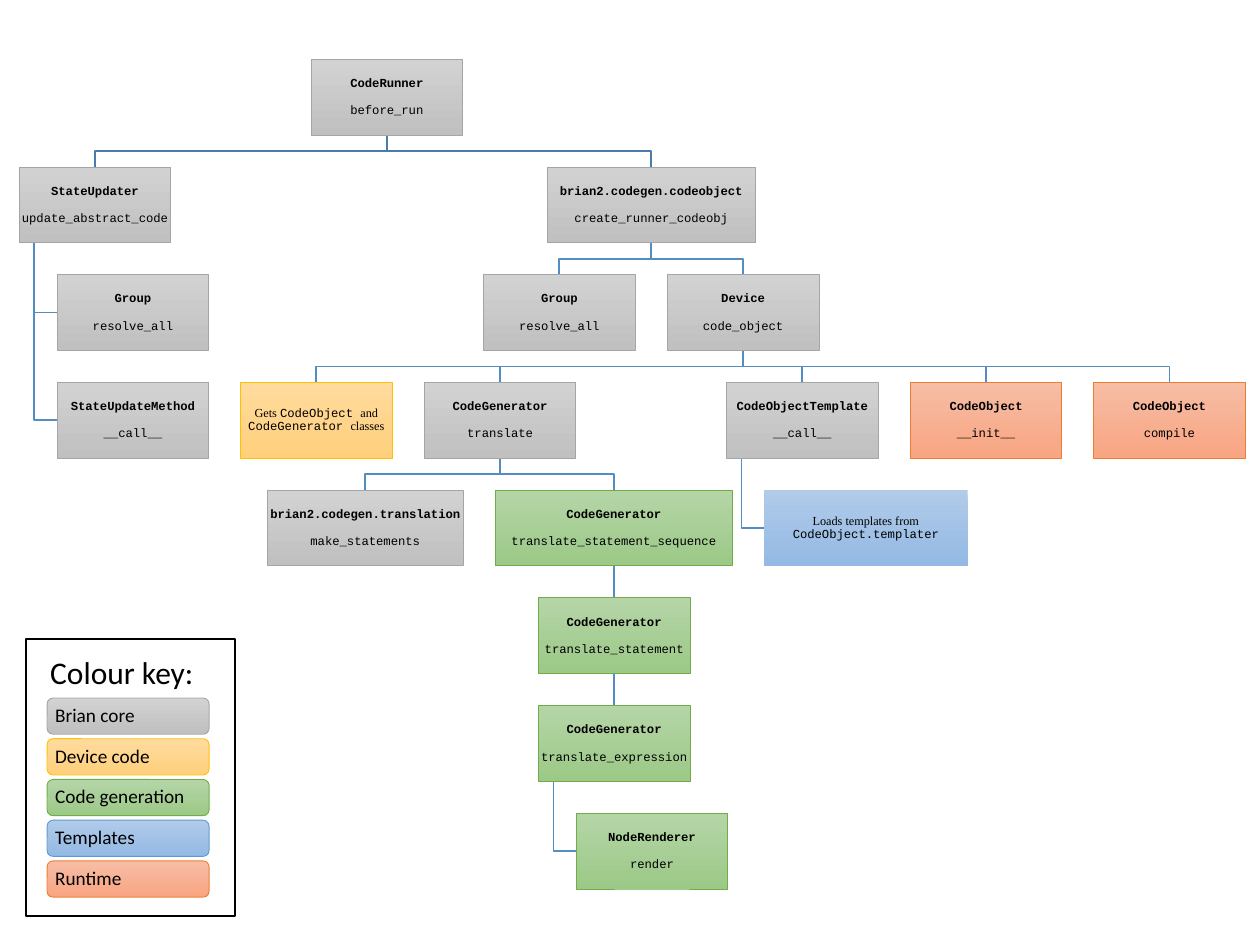
"""Draw the code generation call tree with its colour key."""
from dataclasses import dataclass

from pptx import Presentation
from pptx.dml.color import RGBColor
from pptx.enum.shapes import MSO_CONNECTOR, MSO_SHAPE
from pptx.enum.text import MSO_ANCHOR, PP_ALIGN
from pptx.oxml.ns import qn
from pptx.util import Pt

RECTANGLE = MSO_SHAPE.RECTANGLE
ROUNDED = MSO_SHAPE.ROUNDED_RECTANGLE
STRAIGHT = MSO_CONNECTOR.STRAIGHT
MIDDLE = MSO_ANCHOR.MIDDLE
CENTER, LEFT = PP_ALIGN.CENTER, PP_ALIGN.LEFT


@dataclass(frozen=True)
class Palette:
    """Gradient ends and outline of one category."""
    top: str
    bottom: str
    outline: str


@dataclass(frozen=True)
class Theme:
    """Colours, fonts and type sizes of the slide."""
    core: Palette = Palette("D2D2D2", "C0C0C0", "A5A5A5")
    device: Palette = Palette("FFDB9E", "FFD07C", "FFC000")
    generation: Palette = Palette("B5D5A7", "9CC987", "70AD47")
    templates: Palette = Palette("B1CBE9", "93B9E4", "5B9BD5")
    runtime: Palette = Palette("F7BDA5", "F8A582", "ED7D31")
    ink: str = "000000"
    root_link: str = "497CAB"
    link: str = "538DC1"
    code_font: str = "Courier New"
    prose_font: str = "Times New Roman"
    key_font: str = "Calibri"
    node_size: float = 7
    key_size: float = 11
    heading_size: float = 18


THEME = Theme()
CODE, PROSE = THEME.code_font, THEME.prose_font
FIRST_TOP, LEVEL_PITCH = 33.9, 61.55
NODE_WIDTH, NODE_HEIGHT = 86.7, 43.3
HANG_SHARE = 0.1
KEY_LEFT, KEY_TOP, KEY_PITCH = 26.9, 398.9, 23.27
KEY_WIDTH, KEY_HEIGHT = 92.6, 20.7


@dataclass(frozen=True)
class Node:
    """One box of the tree, with the boxes below it."""
    level: int
    left: float
    name: str = ""
    method: str = ""
    palette: Palette = THEME.core
    width: float = NODE_WIDTH
    spans: tuple = ()
    outlined: bool = True
    hanging: bool = False
    children: tuple = ()

    @property
    def top(self) -> float:
        """Top edge, set by the level."""
        return FIRST_TOP + self.level * LEVEL_PITCH

    @property
    def bottom(self) -> float:
        """Bottom edge."""
        return self.top + NODE_HEIGHT

    @property
    def center(self) -> float:
        """Horizontal centre."""
        return self.left + self.width / 2


EXPRESSION = Node(6, 307.6, "CodeGenerator", "translate_expression", THEME.generation, children=(
    Node(7, 329.2, "NodeRenderer", "render", THEME.generation, hanging=True),))
STATEMENT = Node(5, 307.6, "CodeGenerator", "translate_statement", THEME.generation,
                 children=(EXPRESSION,))
TRANSLATE = Node(3, 242.4, "CodeGenerator", "translate", children=(
    Node(4, 152.6, "brian2.codegen.translation", "make_statements", width=112.3),
    Node(4, 282.9, "CodeGenerator", "translate_statement_sequence", THEME.generation,
         width=135.7, children=(STATEMENT,))))
TEMPLATE = Node(3, 415.1, "CodeObjectTemplate", "__call__", children=(
    Node(4, 436.6, palette=THEME.templates, width=116.4, outlined=False, hanging=True,
         spans=(("Loads templates from ", PROSE), ("CodeObject.templater", CODE))),))
DEVICE = Node(2, 381.3, "Device", "code_object", children=(
    Node(3, 137.4, palette=THEME.device,
         spans=(("Gets ", PROSE), ("CodeObject ", CODE), ("and ", PROSE),
                ("CodeGenerator ", CODE), ("classes", PROSE))),
    TRANSLATE,
    TEMPLATE,
    Node(3, 520.1, "CodeObject", "__init__", THEME.runtime),
    Node(3, 624.9, "CodeObject", "compile", THEME.runtime)))
ROOT = Node(0, 177.7, "CodeRunner", "before_run", children=(
    Node(1, 10.9, "StateUpdater", "update_abstract_code", children=(
        Node(2, 32.6, "Group", "resolve_all", hanging=True),
        Node(3, 32.6, "StateUpdateMethod", "__call__", hanging=True))),
    Node(1, 312.6, "brian2.codegen.codeobject", "create_runner_codeobj", width=119.1,
         children=(Node(2, 276.3, "Group", "resolve_all"), DEVICE))))

KEY_ENTRIES = (("Brian core", THEME.core), ("Device code", THEME.device),
               ("Code generation", THEME.generation), ("Templates", THEME.templates),
               ("Runtime", THEME.runtime))


def color(value: str) -> RGBColor:
    """Turn a hex string into a colour."""
    return RGBColor.from_string(value)


def style_line(line, value: str, weight: float) -> None:
    """Set the colour and weight of a line."""
    line.color.rgb = color(value)
    line.width = Pt(weight)


def style_paragraph(para, font: str, size: float, align=LEFT, bold: bool = False) -> None:
    """Set the font and alignment of a paragraph."""
    para.alignment = align
    para.font.name, para.font.size, para.font.bold = font, Pt(size), bold
    para.font.color.rgb = color(THEME.ink)


def add_box(page, kind, left: float, top: float, width: float, height: float,
            palette: Palette, outlined: bool = True, inset: float = 0):
    """Add a gradient box with centred text anchoring."""
    box = page.shapes.add_shape(kind, Pt(left), Pt(top), Pt(width), Pt(height))
    box.shadow.inherit = False
    box.fill.gradient()
    box.fill.gradient_angle = 270
    for stop, value in zip(box.fill.gradient_stops, (palette.top, palette.bottom)):
        stop.color.rgb = color(value)
    if outlined:
        style_line(box.line, palette.outline, 0.5)
    else:
        box.line.fill.background()
    frame = box.text_frame
    frame.word_wrap, frame.vertical_anchor = True, MIDDLE
    frame.margin_left = frame.margin_right = Pt(inset)
    frame.margin_top = frame.margin_bottom = 0
    return box


def add_link(page, parent: Node, child: Node) -> None:
    """Draw the line from a parent box to a child box."""
    value = THEME.root_link if parent is ROOT else THEME.link
    if not child.hanging and abs(parent.center - child.center) < 1:
        link = page.shapes.add_connector(STRAIGHT, Pt(child.center), Pt(parent.bottom),
                                         Pt(child.center), Pt(child.top))
        link.element.spPr.get_or_add_ln()
        link.element.spPr.append(link.element.makeelement(qn("a:effectLst"), {}))
    else:
        if child.hanging:
            start = parent.left + parent.width * HANG_SHARE
            middle = child.top + NODE_HEIGHT / 2
            points = [(start, middle), (child.left, middle)]
        else:
            start = parent.center
            middle = (parent.bottom + parent.top + LEVEL_PITCH) / 2
            points = [(start, middle), (child.center, middle), (child.center, child.top)]
        builder = page.shapes.build_freeform(Pt(start), Pt(parent.bottom))
        builder.add_line_segments([(Pt(x), Pt(y)) for x, y in points], close=False)
        link = builder.convert_to_shape()
        link.fill.background()
        link.shadow.inherit = False
    style_line(link.line, value, 1)


def add_links(page, node: Node) -> None:
    """Draw all lines below a node."""
    for child in node.children:
        add_link(page, node, child)
        add_links(page, child)


def add_nodes(page, node: Node) -> None:
    """Draw a node and all nodes below it."""
    box = add_box(page, RECTANGLE, node.left, node.top, node.width, NODE_HEIGHT,
                  node.palette, node.outlined)
    para = box.text_frame.paragraphs[0]
    para.line_spacing = 0.9
    if node.spans:
        style_paragraph(para, PROSE, THEME.node_size, CENTER)
        for text, font in node.spans:
            span = para.add_run()
            span.text, span.font.name = text, font
    else:
        para.text, para.space_after = node.name, Pt(8)
        style_paragraph(para, CODE, THEME.node_size, CENTER, bold=True)
        method = box.text_frame.add_paragraph()
        method.text, method.line_spacing = node.method, 0.9
        style_paragraph(method, CODE, THEME.node_size, CENTER)
    for child in node.children:
        add_nodes(page, child)


def add_key(page) -> None:
    """Draw the framed colour key."""
    for row, (label, palette) in enumerate(KEY_ENTRIES):
        box = add_box(page, ROUNDED, KEY_LEFT, KEY_TOP + row * KEY_PITCH, KEY_WIDTH,
                      KEY_HEIGHT, palette, inset=3.6)
        para = box.text_frame.paragraphs[0]
        para.text, para.line_spacing = label, 0.9
        style_paragraph(para, THEME.key_font, THEME.key_size)
    heading = page.shapes.add_textbox(Pt(21.6), Pt(369.4), Pt(97.2), Pt(28.8))
    heading.text_frame.word_wrap = False
    para = heading.text_frame.paragraphs[0]
    para.text = "Colour key:"
    style_paragraph(para, THEME.key_font, THEME.heading_size)
    border = page.shapes.add_shape(RECTANGLE, Pt(14.9), Pt(365.1), Pt(119.5), Pt(158.4))
    border.shadow.inherit = False
    border.fill.background()
    style_line(border.line, THEME.ink, 1)


def main() -> None:
    """Build and save the deck."""
    deck = Presentation()
    deck.slide_width, deck.slide_height = Pt(720), Pt(540)
    page = deck.slides.add_slide(deck.slide_layouts[6])
    add_links(page, ROOT)
    add_nodes(page, ROOT)
    add_key(page)
    deck.save("out.pptx")


main()
